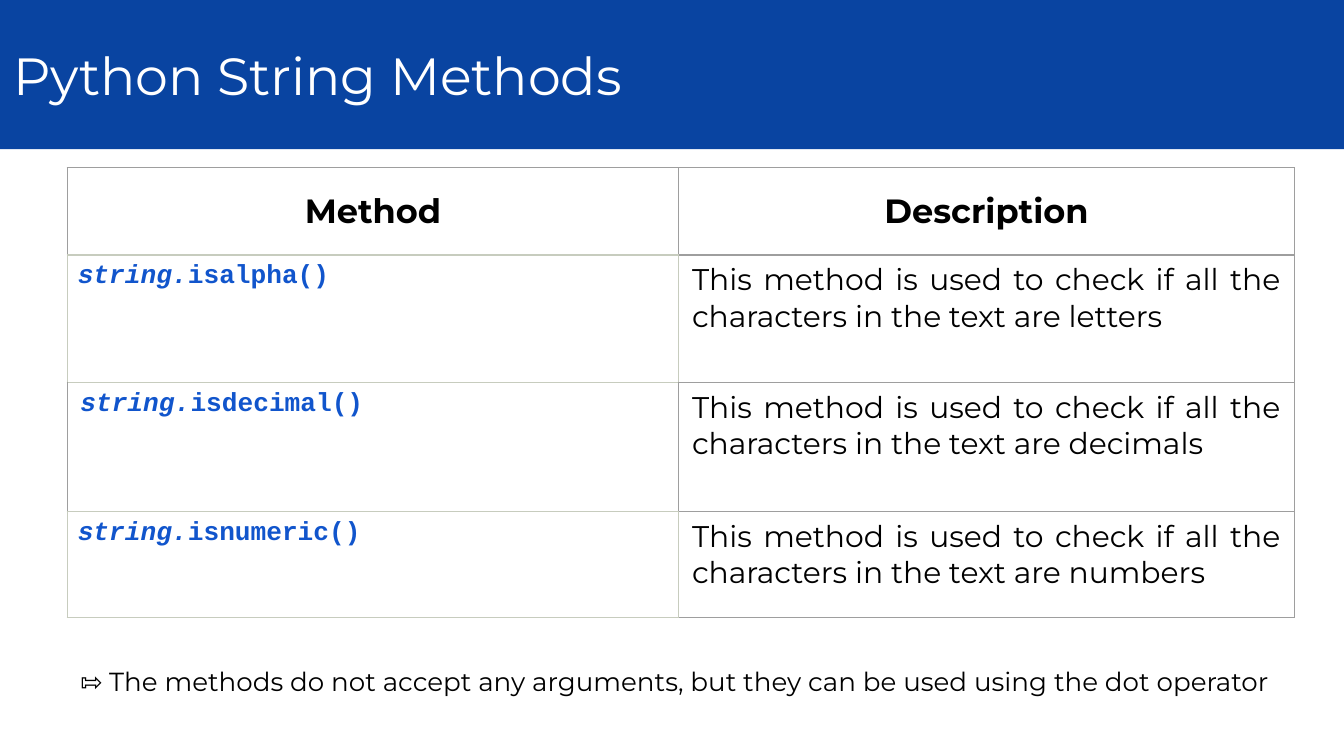
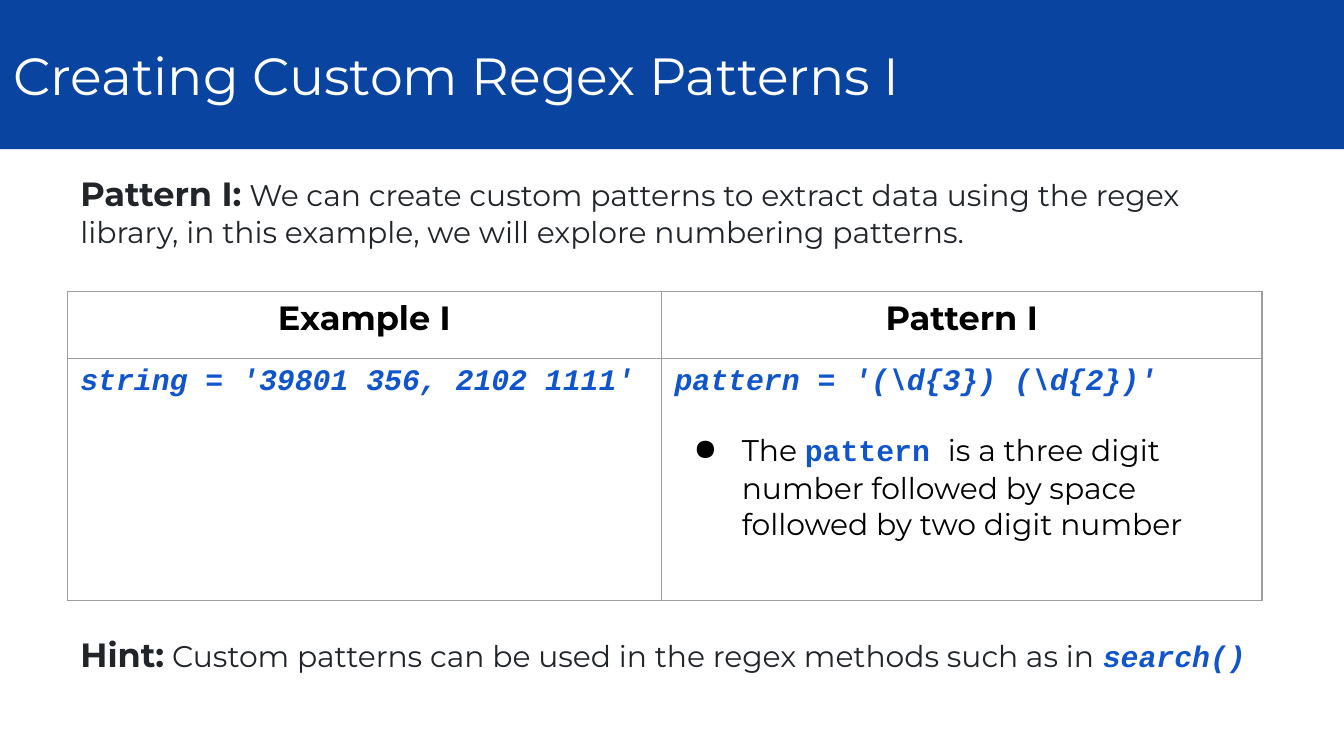
from lxml.etree import SubElement
from pptx import Presentation
from pptx.dml.color import RGBColor
from pptx.enum.text import MSO_ANCHOR as Anchor, MSO_AUTO_SIZE as AutoSize, PP_ALIGN as Align
from pptx.oxml import parse_xml
from pptx.oxml.ns import nsdecls, qn
from pptx.util import Cm, Pt

BLUE = RGBColor(0x09, 0x44, 0xA1)
CODE_BLUE = RGBColor(0x11, 0x55, 0xCC)
WHITE = RGBColor(0xFF, 0xFF, 0xFF)
BLACK = RGBColor(0, 0, 0)
INK = RGBColor(0x21, 0x25, 0x29)
GREY = RGBColor(0x9E, 0x9E, 0x9E)
PALE = RGBColor(0xC7, 0xCC, 0xBE)

SLIDE_WIDTH, SLIDE_HEIGHT = Cm(25.4), Cm(14.29)
LEFT, TEXT_WIDTH = Cm(1.27), Cm(23.19)
INSET = Cm(0.25)
BORDER_TAGS = ("a:lnL", "a:lnR", "a:lnT", "a:lnB")
ALL_GREY = (GREY,) * 4


def text_style(size, color=BLACK, name="Montserrat", bold=False, italic=False):
    return {"size": Pt(size), "color": color, "name": name, "bold": bold, "italic": italic}


def code_style(size, italic=True):
    return text_style(size, CODE_BLUE, "Courier New", True, italic)


TITLE = text_style(28, WHITE)
HEADING = text_style(18, bold=True)
BODY = text_style(16)
NOTE = text_style(14)
LEAD = text_style(18, INK, bold=True)
INK_BODY = text_style(16, INK)
CODE = code_style(16)


def set_attributes(target, values):
    for name, value in values.items():
        setattr(target, name, value)


def write(paragraph, runs, align=Align.LEFT):
    """Fill a paragraph with (text, style) pairs."""
    paragraph.alignment = align
    for text, style in runs:
        run = paragraph.add_run()
        run.text = text
        set_attributes(run.font, {key: value for key, value in style.items() if key != "color"})
        run.font.color.rgb = style["color"]


def add_bullet(paragraph, color):
    properties = paragraph._p.get_or_add_pPr()
    properties.set("marL", str(Cm(1.27)))
    properties.set("indent", str(Cm(-0.91)))
    bullet_color = SubElement(properties, qn("a:buClr"))
    SubElement(bullet_color, qn("a:srgbClr")).set("val", str(color))
    SubElement(properties, qn("a:buChar")).set("char", "●")


def add_titled_slide(presentation, title):
    slide = presentation.slides.add_slide(presentation.slide_layouts[5])
    band = slide.shapes.title
    set_attributes(band, {"left": 0, "top": 0, "width": SLIDE_WIDTH, "height": Cm(2.82)})
    band.fill.solid()
    band.fill.fore_color.rgb = BLUE
    set_attributes(band.text_frame, {
        "auto_size": AutoSize.NONE, "word_wrap": True, "vertical_anchor": Anchor.MIDDLE,
        "margin_left": INSET, "margin_right": INSET, "margin_top": INSET, "margin_bottom": INSET,
    })
    write(band.text_frame.paragraphs[0], [(title, TITLE)])
    return slide


def add_text(slide, top, height, runs):
    frame = slide.shapes.add_textbox(LEFT, top, TEXT_WIDTH, height).text_frame
    set_attributes(frame, {
        "word_wrap": True, "auto_size": AutoSize.SHAPE_TO_FIT_TEXT,
        "margin_left": INSET, "margin_right": INSET, "margin_top": INSET, "margin_bottom": INSET,
    })
    write(frame.paragraphs[0], runs)


def add_plain_table(slide, top, widths, heights):
    frame = slide.shapes.add_table(len(heights), len(widths), LEFT, top, sum(widths), sum(heights))
    table = frame.table
    set_attributes(table, {"first_row": False, "horz_banding": False})
    for column, width in zip(table.columns, widths):
        column.width = width
    for row, height in zip(table.rows, heights):
        row.height = height
    return table


def format_cell(cell, borders=ALL_GREY, side_margin=INSET, anchor=Anchor.TOP):
    """Clear the fill and draw the left, right, top and bottom borders."""
    set_attributes(cell, {
        "margin_left": side_margin, "margin_right": side_margin,
        "margin_top": Cm(0.13), "margin_bottom": Cm(0.13), "vertical_anchor": anchor,
    })
    cell.fill.background()
    properties = cell._tc.get_or_add_tcPr()
    for index, (tag, color) in enumerate(zip(BORDER_TAGS, borders)):
        properties.insert(index, parse_xml(
            f'<{tag} {nsdecls("a")} w="{Pt(0.75)}"><a:solidFill>'
            f'<a:srgbClr val="{color}"/></a:solidFill></{tag}>'))


def write_headings(table, headings):
    for column, heading in enumerate(headings):
        write(table.cell(0, column).text_frame.paragraphs[0], [(heading, HEADING)], Align.CENTER)


def add_method_table(slide, top, methods):
    table = add_plain_table(slide, top, (Cm(11.56), Cm(11.63)),
                            (Cm(1.65), Cm(2.41), Cm(2.44), Cm(2.01)))
    for row in range(len(methods) + 1):
        side = PALE if row % 2 else GREY
        anchor = Anchor.TOP if row else Anchor.MIDDLE
        format_cell(table.cell(row, 0), (side, side, PALE if row else GREY, PALE),
                    Cm(0.2) if row % 2 else INSET, anchor)
        format_cell(table.cell(row, 1), (side, GREY, GREY, GREY), anchor=anchor)
    write_headings(table, ("Method", "Description"))
    for row, (method, kind) in enumerate(methods, 1):
        write(table.cell(row, 0).text_frame.paragraphs[0],
              [("string.", code_style(14)), (method, code_style(14, italic=False))])
        description = f"This method is used to check if all the characters in the text are {kind}"
        write(table.cell(row, 1).text_frame.paragraphs[0], [(description, BODY)], Align.JUSTIFY)


def add_pattern_table(slide, top):
    table = add_plain_table(slide, top, (Cm(11.23), Cm(11.35)), (Cm(1.27), Cm(4.57)))
    for cell in table.iter_cells():
        format_cell(cell)
    write_headings(table, ("Example I", "Pattern I"))
    example, pattern = (table.cell(1, column).text_frame for column in range(2))
    write(example.paragraphs[0], [("string = '39801 356, 2102 1111'", CODE)])
    write(pattern.paragraphs[0], [(r"pattern = '(\d{3}) (\d{2})'", CODE)])
    explanation = pattern.add_paragraph()
    add_bullet(explanation, BLACK)
    explanation.space_before = Pt(18)
    write(explanation, [
        ("The ", BODY),
        ("pattern ", code_style(16, italic=False)),
        ("is a three digit number followed by space followed by two digit number", BODY),
    ])


def build_methods_slide(presentation):
    slide = add_titled_slide(presentation, "Python String Methods")
    add_method_table(slide, Cm(3.17), [
        ("isalpha()", "letters"), ("isdecimal()", "decimals"), ("isnumeric()", "numbers"),
    ])
    add_text(slide, Cm(12.32), Cm(1.09), [
        ("⇰ The methods do not accept any arguments, "
         "but they can be used using the dot operator", NOTE),
    ])


def build_pattern_slide(presentation):
    slide = add_titled_slide(presentation, "Creating Custom Regex Patterns I")
    add_text(slide, Cm(3.02), Cm(1.96), [
        ("Pattern I:", LEAD),
        (" We can create custom patterns to extract data using the regex library, "
         "in this example, we will explore numbering patterns.", INK_BODY),
    ])
    add_pattern_table(slide, Cm(5.51))
    add_text(slide, Cm(11.73), Cm(1.27), [
        ("Hint:", LEAD),
        (" Custom patterns can be used in the regex methods such as in ", INK_BODY),
        ("search()", CODE),
    ])


def main():
    presentation = Presentation()
    set_attributes(presentation, {"slide_width": SLIDE_WIDTH, "slide_height": SLIDE_HEIGHT})
    build_methods_slide(presentation)
    build_pattern_slide(presentation)
    presentation.save("out.pptx")


if __name__ == "__main__":
    main()
